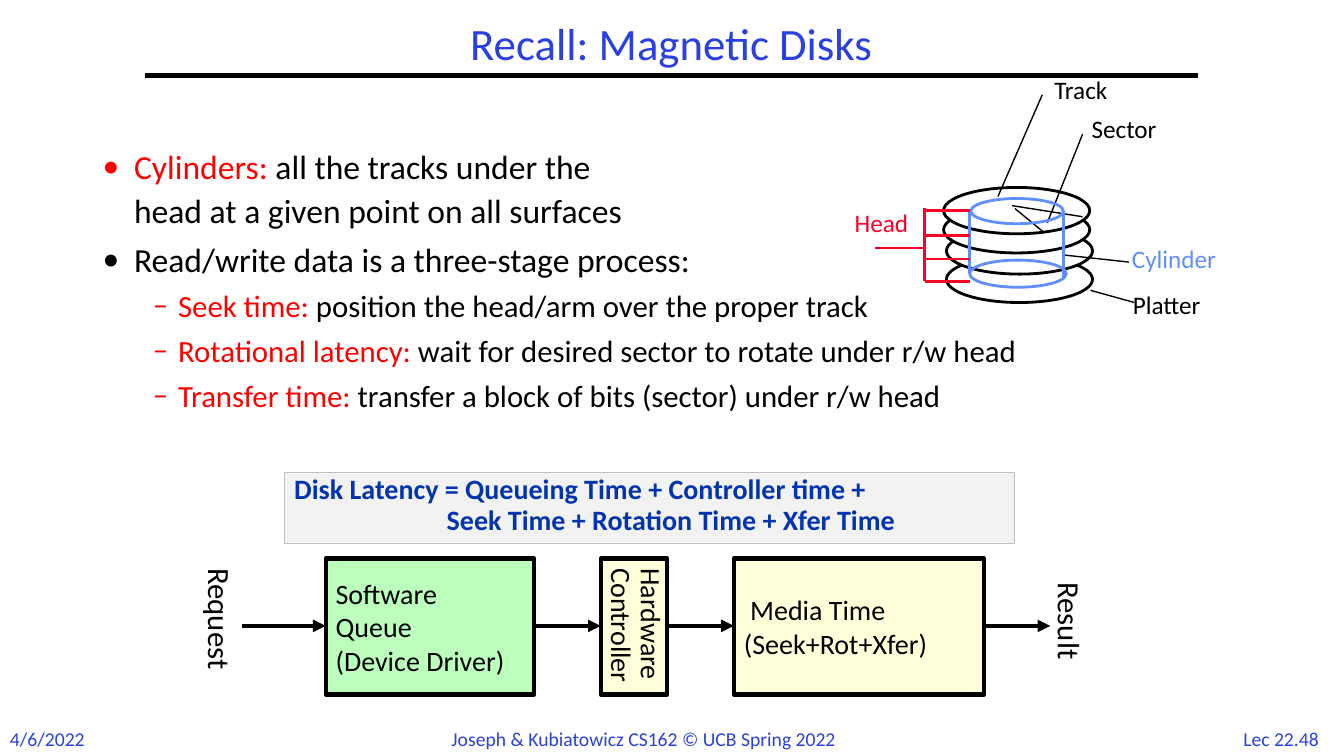
from lxml.etree import SubElement
from pptx import Presentation
from pptx.dml.color import RGBColor
from pptx.enum.shapes import MSO_CONNECTOR as CONNECTOR, MSO_SHAPE as SHAPE
from pptx.enum.text import MSO_ANCHOR as ANCHOR, MSO_AUTO_SIZE as AUTO_SIZE, PP_ALIGN as ALIGN
from pptx.oxml.ns import qn
from pptx.util import Pt

COLORS = {
    "title": "2A40E2", "black": "000000", "white": "FFFFFF", "key": "FF0000",
    "cylinder": "618FFD", "head": "FC0128", "queue": "BCFFBC", "stage": "FFFFDA",
    "formula": "0234AD", "panel": "F2F2F2", "border": "BFBFBF",
}


def rgb(name):
    """Return the named palette colour."""
    return RGBColor.from_string(COLORS[name])


def add_text(paragraph, text, size=20, color="black", bold=False):
    """Append text to a paragraph, turning newlines into line breaks."""
    for index, line in enumerate(text.split("\n")):
        if index:
            paragraph.add_line_break()
        run = paragraph.add_run()
        run.text = line
        run.font.name = "Calibri"
        run.font.size = Pt(size)
        run.font.bold = bold
        run.font.color.rgb = rgb(color)


def set_indent(paragraph, left, hanging=0, bullet=None):
    """Set the left margin, hanging indent and bullet of a paragraph."""
    properties = paragraph._p.get_or_add_pPr()
    properties.set("marL", str(Pt(left)))
    properties.set("indent", str(-Pt(hanging)))
    if bullet:
        SubElement(properties, qn("a:buFont")).set("typeface", "Calibri")
        SubElement(properties, qn("a:buChar")).set("char", bullet)


def write_lines(shape, lines, align=ALIGN.LEFT, spacing=1.0, before=0, indents=None,
                margins=(7.2, 3.6), anchor=ANCHOR.TOP, wrap=True, **style):
    """Write one formatted paragraph per line into a shape."""
    frame = shape.text_frame
    frame.auto_size = AUTO_SIZE.NONE
    frame.word_wrap = wrap
    frame.vertical_anchor = anchor
    frame.margin_left = frame.margin_right = Pt(margins[0])
    frame.margin_top = frame.margin_bottom = Pt(margins[1])
    for index, line in enumerate(lines):
        paragraph = frame.paragraphs[0] if index == 0 else frame.add_paragraph()
        paragraph.alignment = align
        paragraph.line_spacing = spacing
        paragraph.space_before = Pt(before)
        if indents:
            set_indent(paragraph, indents[index])
        add_text(paragraph, line, **style)


def add_label(slide, box, text, rotation=0, **style):
    """Add a text box with one unwrapped line."""
    label = slide.shapes.add_textbox(*map(Pt, box))
    label.rotation = rotation
    write_lines(label, [text], wrap=False, **style)


def add_figure(slide, kind, box, fill=None, line="black", width=2):
    """Add an outlined preset shape without a shadow."""
    shape = slide.shapes.add_shape(kind, *map(Pt, box))
    shape.shadow.inherit = False
    if fill:
        shape.fill.solid()
        shape.fill.fore_color.rgb = rgb(fill)
    else:
        shape.fill.background()
    shape.line.color.rgb = rgb(line)
    shape.line.width = Pt(width)
    return shape


def add_line(slide, ends, color="black", width=1, arrow=False):
    """Add a straight line, with an arrowhead at its end if asked."""
    connector = slide.shapes.add_connector(CONNECTOR.STRAIGHT, *map(Pt, ends))
    connector.line.color.rgb = rgb(color)
    connector.line.width = Pt(width)
    if arrow:
        SubElement(connector.line._get_or_add_ln(), qn("a:tailEnd")).set("type", "triangle")
    SubElement(connector._element.spPr, qn("a:effectLst"))


def add_header_and_footer(slide):
    """Fill the title and add its rule and the three footer texts."""
    title = slide.shapes.title
    title.left, title.top, title.width, title.height = map(Pt, (103.7, 12.2, 751.7, 41.8))
    write_lines(title, ["Recall: Magnetic Disks"], align=ALIGN.CENTER, spacing=0.9,
                anchor=ANCHOR.MIDDLE, size=32, color="title")
    add_line(slide, (103.7, 54, 856, 54), width=3)
    footers = [
        (0, 69, "4/6/2022", ALIGN.LEFT),
        (315.4, 327.6, "Joseph & Kubiatowicz CS162 © UCB Spring 2022", ALIGN.LEFT),
        (876.2, 77.8, "Lec 22.48", ALIGN.CENTER),
    ]
    for left, width, text, align in footers:
        add_label(slide, (left, 515.5, width, 24.5), text, align=align, size=14, color="title")


def add_bullets(slide):
    """Add the two-level bullet list with its red key terms."""
    items = [
        (0, "Cylinders: ", "all the tracks under the \nhead at a given point on all surfaces"),
        (0, "", "Read/write data is a three-stage process:"),
        (1, "Seek time: ", "position the head/arm over the proper track"),
        (1, "Rotational latency: ", "wait for desired sector to rotate under r/w head"),
        (1, "Transfer time: ", "transfer a block of bits (sector) under r/w head"),
    ]
    levels = [(24, 22.5, 22.5, "•"), (22, 54, 18, "–")]
    frame = slide.shapes.add_textbox(*map(Pt, (66.2, 97.9, 828, 236))).text_frame
    frame.word_wrap = True
    for index, (level, term, text) in enumerate(items):
        size, left, hanging, bullet = levels[level]
        paragraph = frame.paragraphs[0] if index == 0 else frame.add_paragraph()
        paragraph.line_spacing = 1.1
        paragraph.space_before = Pt(3)
        set_indent(paragraph, left, hanging, bullet)
        if term:
            add_text(paragraph, term, size=size, color="key")
        add_text(paragraph, text, size=size)


def add_disk(slide):
    """Draw the platters, the cylinder, the heads and their labels."""
    for left, top in [(676, 183), (676, 162.7), (674, 147.6), (674, 133.9)]:
        add_figure(slide, SHAPE.OVAL, (left, top, 104.4, 33.1), fill="white")
    sector_edges = [(725, 149, 745.2, 165.6), (722.9, 146.9, 773.3, 154.8)]
    leaders = [(748.1, 159.1, 773.3, 95.8), (712.8, 140.4, 744.5, 67.7),
               (760.3, 182.2, 806.4, 187.2), (779, 207.4, 810, 216)]
    for ends in sector_edges + leaders:
        add_line(slide, ends)
    for box in [(692.6, 185.8, 69.1, 19.4), (693.4, 141.8, 66.2, 18)]:
        add_figure(slide, SHAPE.OVAL, box, line="cylinder")
    for x, bottom in [(692.6, 195.1), (759.6, 198.7)]:
        add_line(slide, (x, 150.5, x, bottom), color="cylinder", width=2)
    add_line(slide, (660.2, 148.3, 660.2, 200.9), color="head", width=2)
    for y in (150.5, 168.5, 185, 200.9):
        add_line(slide, (660.6, y, 692.6, y), color="head", width=2)
    add_line(slide, (661, 177.1, 625, 177.1), color="head", width=2)
    labels = [("Track", 748.1, 54, 54.7, "black"), ("Sector", 774.7, 82.1, 62.6, "black"),
              ("Cylinder", 803.5, 175, 77, "cylinder"), ("Head", 605.5, 149, 53.3, "head"),
              ("Platter", 804.2, 207.4, 62.6, "black")]
    for text, left, top, width, color in labels:
        add_label(slide, (left, top, width, 22.3), text, margins=(5, 2.2), spacing=0.85,
                  size=18, color=color)


def add_pipeline(slide):
    """Draw the request path through queue, controller and media."""
    def add_stage(left, width, fill, lines, **style):
        """Add one stage box to the pipeline."""
        box = add_figure(slide, SHAPE.RECTANGLE, (left, 398.9, width, 97.2), fill=fill, width=3)
        write_lines(box, lines, anchor=ANCHOR.MIDDLE, **style)
        return box

    add_stage(232.6, 149, "queue", ["Software", "Queue", "(Device Driver)"])
    controller = add_stage(429.1, 47.5, "stage", ["Hardware", "Controller"], spacing=0.8, before=2)
    controller.text_frame._txBody.bodyPr.set("vert", "eaVert")
    add_stage(524.2, 178.6, "stage", ["Media Time", "(Seek+Rot+Xfer)"], indents=(4.5, 0))
    for start, end in [(172.8, 232.6), (381.6, 429.1), (476.6, 524.2), (702.8, 750.2)]:
        add_line(slide, (start, 447.1, end, 447.1), width=3, arrow=True)
    for text, left, width in [("Request", 108.7, 97.2), ("Result", 725.8, 77)]:
        add_label(slide, (left, 430.6, width, 33.8), text, rotation=90, size=22)


def add_formula(slide):
    """Add the latency formula in its grey panel."""
    panel = add_figure(slide, SHAPE.RECTANGLE, (203, 337.7, 522, 50.4), fill="panel",
                       line="border", width=0.75)
    write_lines(panel, ["Disk Latency = Queueing Time + Controller time +",
                        "Seek Time + Rotation Time + Xfer Time"],
                spacing=0.8, before=3, indents=(0, 109), color="formula", bold=True)


def main():
    """Build the slide and save it."""
    presentation = Presentation()
    presentation.slide_width, presentation.slide_height = Pt(960), Pt(540)
    slide = presentation.slides.add_slide(presentation.slide_layouts[5])
    add_header_and_footer(slide)
    add_bullets(slide)
    add_disk(slide)
    add_pipeline(slide)
    add_formula(slide)
    presentation.save("out.pptx")


if __name__ == "__main__":
    main()
